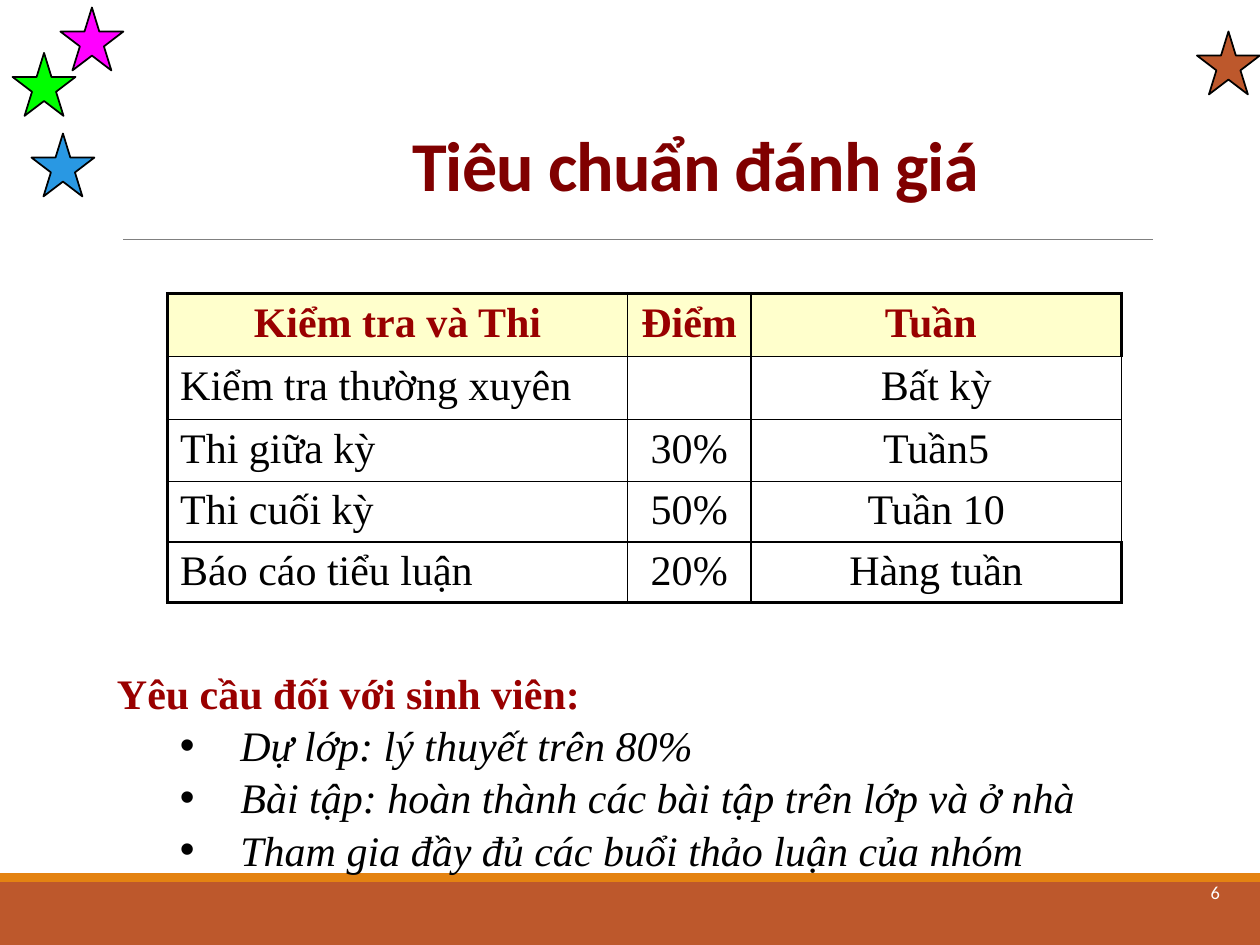
from dataclasses import dataclass

from lxml import etree
from pptx import Presentation
from pptx.dml.color import RGBColor
from pptx.enum.shapes import MSO_CONNECTOR, MSO_SHAPE
from pptx.enum.text import MSO_ANCHOR, PP_ALIGN
from pptx.oxml.ns import qn
from pptx.util import Inches, Pt

LEFT, CENTER, RIGHT = PP_ALIGN.LEFT, PP_ALIGN.CENTER, PP_ALIGN.RIGHT
TOP, MIDDLE, BOTTOM = MSO_ANCHOR.TOP, MSO_ANCHOR.MIDDLE, MSO_ANCHOR.BOTTOM
RECTANGLE, STAR = MSO_SHAPE.RECTANGLE, MSO_SHAPE.STAR_5_POINT
STRAIGHT = MSO_CONNECTOR.STRAIGHT


@dataclass(frozen=True)
class Theme:
    heading_font: str = "Calibri"
    body_font: str = "Times New Roman"
    title_size: float = 40
    body_size: float = 24
    number_size: float = 10.5
    black: str = "000000"
    white: str = "FFFFFF"
    gray: str = "808080"
    title: str = "800000"
    accent: str = "990000"
    header_fill: str = "FFFFCC"
    rust: str = "BD582C"
    orange: str = "E48312"
    blue: str = "2998E3"
    green: str = "00FF00"
    magenta: str = "FF00FF"
    thin: float = 1
    thick: float = 2.25


THEME = Theme()

STARS = [
    (9.5, 0.25, THEME.rust),
    (0.25, 1.06, THEME.blue),
    (0.1, 0.42, THEME.green),
    (0.48, 0.06, THEME.magenta),
]
COLUMN_WIDTHS = [3.65, 0.98, 2.94]
ROW_HEIGHTS = [0.5, 0.5, 0.49, 0.47, 0.47]
GRADING = [
    ["Kiểm tra và Thi", "Điểm", "Tuần "],
    ["Kiểm tra thường xuyên", "", "Bất kỳ"],
    ["Thi giữa kỳ", "30%", "Tuần5"],
    ["Thi cuối kỳ", "50%", "Tuần 10"],
    ["Báo cáo tiểu luận", "20%", "Hàng tuần"],
]
REQUIREMENTS = [
    "Dự lớp: lý thuyết trên 80%",
    "Bài tập: hoàn thành các bài tập trên lớp và ở nhà",
    "Tham gia đầy đủ các buổi thảo luận của nhóm",
]


def style_font(font, name, size, color, bold=False, italic=False):
    font.name, font.size = name, Pt(size)
    font.bold, font.italic = bold, italic
    font.color.rgb = RGBColor.from_string(color)


def add_filled_shape(slide, kind, left, top, width, height, fill, line=None):
    shape = slide.shapes.add_shape(
        kind, Inches(left), Inches(top), Inches(width), Inches(height))
    shape.shadow.inherit = False
    shape.fill.solid()
    shape.fill.fore_color.rgb = RGBColor.from_string(fill)
    if line:
        shape.line.color.rgb = RGBColor.from_string(line)
        shape.line.width = Pt(THEME.thin)
    else:
        shape.line.fill.background()


def add_rule(slide, left, right, top):
    connector = slide.shapes.add_connector(
        STRAIGHT, Inches(left), Inches(top), Inches(right), Inches(top))
    connector.line.color.rgb = RGBColor.from_string(THEME.gray)
    connector.line.width = Pt(0.5)
    etree.SubElement(connector._element.spPr, qn("a:effectLst"))


def add_text_box(slide, left, top, width, height, anchor=TOP):
    box = slide.shapes.add_textbox(
        Inches(left), Inches(top), Inches(width), Inches(height))
    box.text_frame.word_wrap = True
    box.text_frame.vertical_anchor = anchor
    return box.text_frame


def add_title(slide, text):
    paragraph = add_text_box(slide, 1.26, 0.23, 8.52, 1.45, BOTTOM).paragraphs[0]
    paragraph.alignment = CENTER
    paragraph.line_spacing = 0.85
    run = paragraph.add_run()
    run.text = text
    style_font(paragraph.font, THEME.heading_font, THEME.title_size, THEME.title, bold=True)
    run.font._element.set("spc", "-50")


def add_page_number(slide, number):
    paragraph = add_text_box(slide, 7.7, 6.83, 2.08, 0.5, MIDDLE).paragraphs[0]
    paragraph.text = number
    paragraph.alignment = RIGHT
    style_font(paragraph.font, THEME.heading_font, THEME.number_size, THEME.white)


def set_borders(cell, widths):
    properties = cell._tc.get_or_add_tcPr()
    # Borders come before the fill in the cell properties
    for position, (side, width) in enumerate(widths.items()):
        line = etree.Element(qn(f"a:ln{side}"), w=str(Pt(width)))
        fill = etree.SubElement(line, qn("a:solidFill"))
        etree.SubElement(fill, qn("a:srgbClr"), val=THEME.black)
        properties.insert(position, line)


def fill_cell(cell, text, is_header, alignment):
    cell.margin_top, cell.margin_bottom = Inches(0.05), Inches(0.03)
    paragraph = cell.text_frame.paragraphs[0]
    paragraph.text = text
    paragraph.alignment = alignment
    color = THEME.accent if is_header else THEME.black
    style_font(paragraph.font, THEME.body_font, THEME.body_size, color, bold=is_header)
    if is_header:
        cell.fill.solid()
        cell.fill.fore_color.rgb = RGBColor.from_string(THEME.header_fill)
    else:
        cell.fill.background()


def add_grading_table(slide):
    last_row, last_column = len(GRADING) - 1, len(COLUMN_WIDTHS) - 1
    table = slide.shapes.add_table(
        len(GRADING), len(COLUMN_WIDTHS), Inches(1.33), Inches(2.33),
        Inches(sum(COLUMN_WIDTHS)), Inches(sum(ROW_HEIGHTS))).table
    table.first_row = table.horz_banding = False
    for column, width in zip(table.columns, COLUMN_WIDTHS):
        column.width = Inches(width)
    for row, height in zip(table.rows, ROW_HEIGHTS):
        row.height = Inches(height)
    for r, texts in enumerate(GRADING):
        for c, text in enumerate(texts):
            cell = table.cell(r, c)
            fill_cell(cell, text, r == 0, LEFT if r > 0 and c == 0 else CENTER)
            # The right edge is thick only on the first and last rows
            thick_sides = {
                "L": c == 0,
                "R": c == last_column and r in (0, last_row),
                "T": r == 0,
                "B": r == last_row,
            }
            set_borders(cell, {side: THEME.thick if thick else THEME.thin
                               for side, thick in thick_sides.items()})


def make_bullet(paragraph):
    properties = paragraph._p.get_or_add_pPr()
    properties.set("marL", str(Inches(0.98)))
    properties.set("indent", str(Inches(-0.48)))
    etree.SubElement(properties, qn("a:buFont"), typeface="Arial")
    etree.SubElement(properties, qn("a:buChar"), char="•")


def add_requirements(slide):
    frame = add_text_box(slide, 0.83, 5.25, 7.97, 1.7)
    heading = frame.paragraphs[0]
    heading.text = "Yêu cầu đối với sinh viên:"
    heading.space_before = Pt(1)
    style_font(heading.font, THEME.body_font, THEME.body_size, THEME.accent, bold=True)
    for text in REQUIREMENTS:
        paragraph = frame.add_paragraph()
        paragraph.text = text
        paragraph.level = 1
        paragraph.space_before = Pt(1)
        make_bullet(paragraph)
        style_font(paragraph.font, THEME.body_font, THEME.body_size, THEME.black, italic=True)


def main():
    presentation = Presentation()
    presentation.slide_width, presentation.slide_height = Inches(10), Inches(7.5)
    slide = presentation.slides.add_slide(presentation.slide_layouts[6])

    # Footer bands, title rule and corner stars
    add_filled_shape(slide, RECTANGLE, 0, 7, 10, 0.5, THEME.rust)
    add_filled_shape(slide, RECTANGLE, 0, 6.93, 10, 0.07, THEME.orange)
    add_rule(slide, 0.98, 9.15, 1.9)
    for left, top, color in STARS:
        add_filled_shape(slide, STAR, left, top, 0.5, 0.5, color, THEME.black)

    # Content
    add_title(slide, "Tiêu chuẩn đánh giá")
    add_grading_table(slide)
    add_page_number(slide, "6")
    add_requirements(slide)

    presentation.save("out.pptx")


if __name__ == "__main__":
    main()
